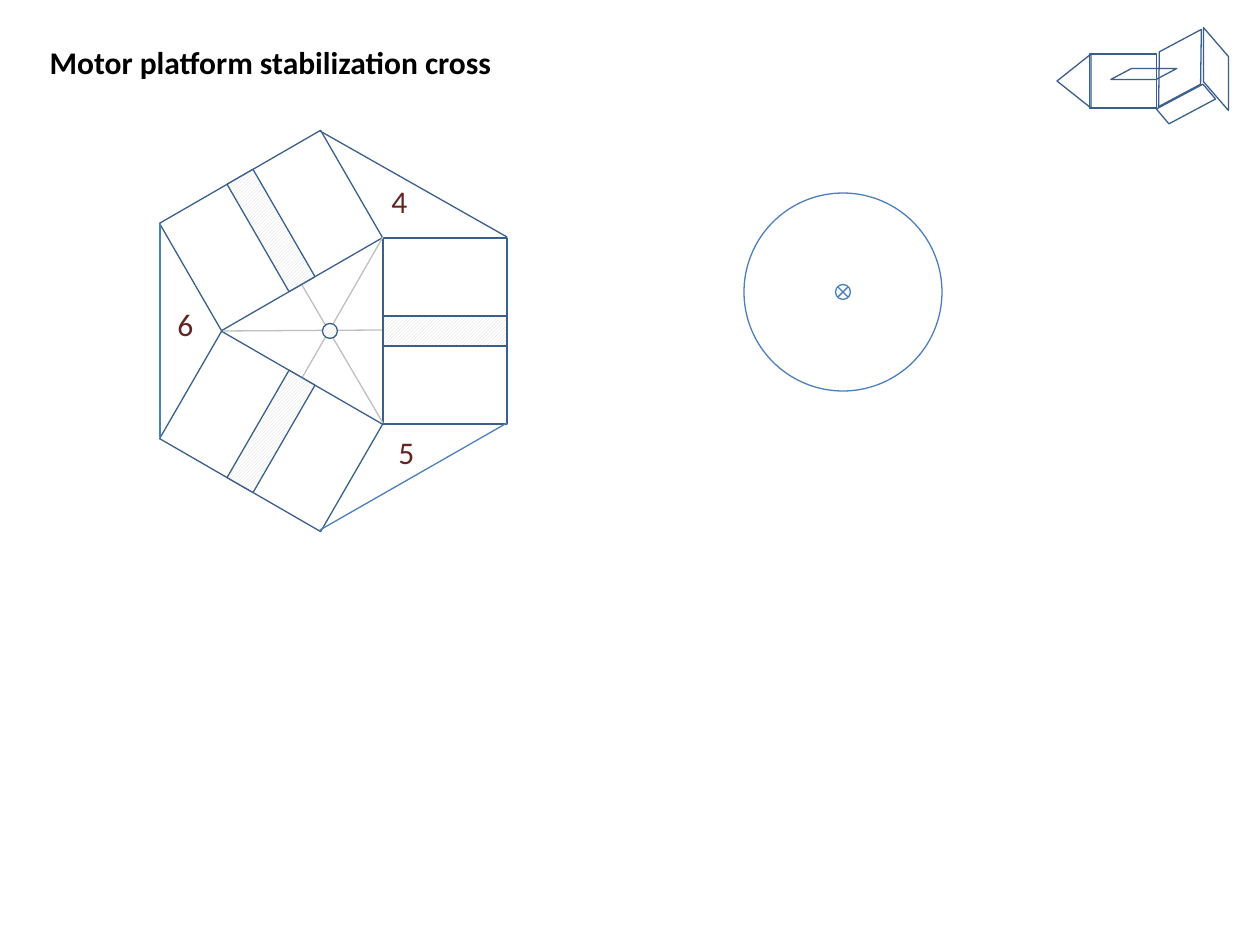
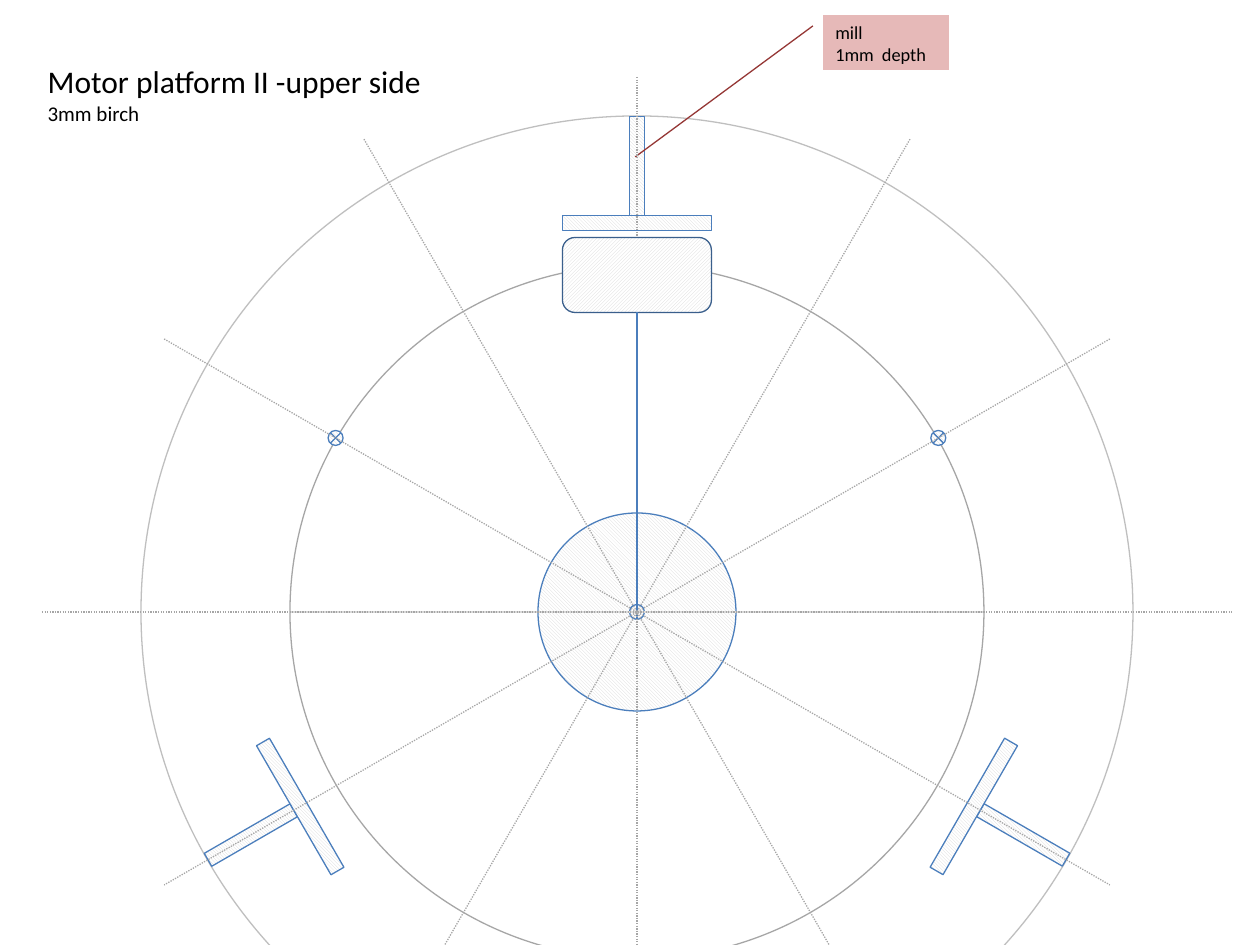
from math import cos, radians, sin

from lxml.etree import SubElement
from pptx import Presentation
from pptx.dml.color import RGBColor
from pptx.enum.dml import MSO_LINE, MSO_PATTERN
from pptx.enum.shapes import MSO_CONNECTOR, MSO_SHAPE
from pptx.enum.text import MSO_ANCHOR, MSO_AUTO_SIZE, PP_ALIGN
from pptx.oxml.ns import qn
from pptx.util import Pt

PX = 914400 / 126
FONT = "Calibri"
LINE_WIDTH = 0.75
COLORS = {
    "black": "000000",
    "white": "FFFFFF",
    "navy": "3A5F8C",
    "blue": "4B7EBC",
    "hatch": "D9D9D9",
    "light": "BFBFBF",
    "gray": "A6A6A6",
    "label": "632523",
    "pink": "E6B9B8",
    "red": "953735",
}
DOWN = MSO_PATTERN.LIGHT_DOWNWARD_DIAGONAL
UP = MSO_PATTERN.LIGHT_UPWARD_DIAGONAL
DARK_UP = MSO_PATTERN.DARK_UPWARD_DIAGONAL


def emu(length):
    return round(length * PX)


def rgb(name):
    return RGBColor.from_string(COLORS[name])


def polar(center, radius, angle):
    """Point at an angle in degrees, clockwise from the right."""
    turn = radians(angle)
    return center[0] + radius * cos(turn), center[1] + radius * sin(turn)


# Elements
def set_text(frame, lines, sizes, color="black", bold=False, wrap=False,
             anchor=MSO_ANCHOR.TOP):
    frame.word_wrap = wrap
    frame.auto_size = MSO_AUTO_SIZE.NONE
    frame.vertical_anchor = anchor
    for index, (line, size) in enumerate(zip(lines, sizes)):
        para = frame.paragraphs[0] if index == 0 else frame.add_paragraph()
        para.alignment = PP_ALIGN.LEFT
        span = para.add_run()
        span.text = line
        span.font.name = FONT
        span.font.size = Pt(size)
        span.font.bold = bold
        span.font.color.rgb = rgb(color)


def place(box, left, top, width, height):
    box.left, box.top = emu(left), emu(top)
    box.width, box.height = emu(width), emu(height)


def add_title_page(deck, area, lines, sizes, bold=False):
    page = deck.slides.add_slide(deck.slide_layouts[5])
    place(page.shapes.title, *area)
    set_text(page.shapes.title.text_frame, lines, sizes, bold=bold)
    return page


def add_label(page, left, top, text):
    box = page.shapes.add_textbox(emu(left), emu(top), emu(42), emu(50))
    set_text(box.text_frame, [text], [18], color="label")


def add_figure(page, kind, center, size, line="blue", turn=0, adjust=(),
               pattern=None, fill=None, flip=""):
    width, height = size
    figure = page.shapes.add_shape(
        kind, emu(center[0] - width / 2), emu(center[1] - height / 2),
        emu(width), emu(height))
    figure.shadow.inherit = False
    figure.rotation = turn
    for index, value in enumerate(adjust):
        figure.adjustments[index] = value
    for axis in flip:
        figure.element.spPr.find(qn("a:xfrm")).set("flip" + axis, "1")
    if pattern is not None:
        figure.fill.patterned()
        figure.fill.pattern = pattern
        figure.fill.fore_color.rgb = rgb("hatch")
        figure.fill.back_color.rgb = rgb("white")
    elif fill:
        figure.fill.solid()
        figure.fill.fore_color.rgb = rgb(fill)
    else:
        figure.fill.background()
    figure.line.color.rgb = rgb(line)
    figure.line.width = Pt(LINE_WIDTH)
    return figure


def add_circle(page, center, diameter, kind=MSO_SHAPE.OVAL, **look):
    add_figure(page, kind, center, (diameter, diameter), **look)


def add_line(page, start, end, color, dash=None):
    line = page.shapes.add_connector(
        MSO_CONNECTOR.STRAIGHT, *(emu(value) for value in (*start, *end)))
    line.line.color.rgb = rgb(color)
    line.line.width = Pt(LINE_WIDTH)
    if dash is not None:
        line.line.dash_style = dash
    SubElement(line.element.spPr, qn("a:effectLst"))


# Slide parts
def add_folded_sketch(page):
    slant = MSO_SHAPE.PARALLELOGRAM
    faces = [
        (slant, (1180, 68), (74, 48), 332, [0.55], ""),
        (slant, (1216, 69), (83, 25), 270, [1.16], ""),
        (slant, (1186, 104), (57, 19), 332, [0.22], "H"),
        (slant, (1144, 74), (66, 11), 0, [1.88], "HV"),
        (MSO_SHAPE.RECTANGLE, (1123, 81), (54, 67), 270, [], ""),
        (MSO_SHAPE.TRAPEZOID, (1074, 81), (54, 34), 90, [0.8], "V"),
    ]
    for kind, center, size, turn, adjust, flip in faces:
        add_figure(page, kind, center, size, line="navy", turn=turn,
                   adjust=adjust, flip=flip)


def add_cross(page):
    middle = (329, 331)
    arms = [(angle, polar(middle, 116, angle)) for angle in (0, 240, 120)]
    for angle, center in arms:
        add_figure(page, MSO_SHAPE.RECTANGLE, center, (124, 186),
                   line="navy", turn=angle % 180)
    # Outer edges and their numbers
    add_line(page, (320, 131), (507, 237), "navy")
    add_line(page, (320, 530), (507, 423), "blue")
    add_line(page, (160, 437), (160, 223), "blue")
    for left, top, text in [(379, 176, "4"), (386, 427, "5"), (165, 299, "6")]:
        add_label(page, left, top, text)
    # Medians of the inner triangle
    for start, end in [((383, 237), (302, 378)), ((383, 330), (223, 331)),
                       ((383, 423), (302, 285))]:
        add_line(page, start, end, "light")
    add_circle(page, (330, 331), 15, line="navy", pattern=DARK_UP)
    for angle, center in arms:
        add_figure(page, MSO_SHAPE.RECTANGLE, center, (124, 30), line="navy",
                   turn=angle % 180, pattern=DARK_UP)


def add_slot(page, hub, angle):
    for radius, size in [(446, (99, 15)), (389, (15, 149))]:
        add_figure(page, MSO_SHAPE.RECTANGLE, polar(hub, radius, angle), size,
                   turn=angle, pattern=DOWN)


def add_platform(page, hub):
    for angle in (270, 30, 150):
        add_slot(page, hub, angle)
    add_circle(page, hub, 198, pattern=DOWN)
    add_circle(page, hub, 15, kind=MSO_SHAPE.FLOWCHART_OR, pattern=DOWN)
    # Milling note
    note = add_figure(page, MSO_SHAPE.LINE_CALLOUT_1_NO_BORDER, (886, 43),
                      (126, 55), line="red", fill="pink",
                      adjust=[0.19, -0.08, 2.57, -1.49])
    set_text(note.text_frame, ["mill", "1mm  depth"], [10.5, 10.5], wrap=True,
             anchor=MSO_ANCHOR.MIDDLE)
    # Drill ring
    add_circle(page, hub, 694, line="gray")
    for angle in (330, 210):
        add_circle(page, polar(hub, 348, angle), 15, pattern=DOWN,
                   kind=MSO_SHAPE.FLOWCHART_SUMMING_JUNCTION)
    add_line(page, polar(hub, 347, 180), polar(hub, 347, 0), "hatch")
    # Dotted axes every 30 degrees
    for step, reach in enumerate([595, 546, 546, 535, 546, 546]):
        angle = 30 * step
        add_line(page, polar(hub, reach, angle + 180),
                 polar(hub, reach, angle), "gray", dash=MSO_LINE.ROUND_DOT)
    # Motor and its shaft
    add_figure(page, MSO_SHAPE.ROUNDED_RECTANGLE, (637, 275), (149, 75),
               line="navy", pattern=UP)
    add_line(page, (637, 312), (637, 610), "blue")


def main():
    deck = Presentation()
    deck.slide_width, deck.slide_height = emu(1260), emu(945)

    page = add_title_page(deck, (37, 37, 471, 50),
                          ["Motor platform stabilization cross"], [18],
                          bold=True)
    add_folded_sketch(page)
    add_circle(page, (843, 292), 198)
    add_circle(page, (843, 292), 15, pattern=DOWN,
               kind=MSO_SHAPE.FLOWCHART_SUMMING_JUNCTION)
    add_cross(page)

    hub = (637, 612)
    page = add_title_page(deck, (35, 56, 404, 77),
                          ["Motor platform II -upper side", "3mm birch"],
                          [18, 12])
    add_circle(page, hub, 992, line="light")
    add_platform(page, hub)

    deck.save("out.pptx")


if __name__ == "__main__":
    main()
